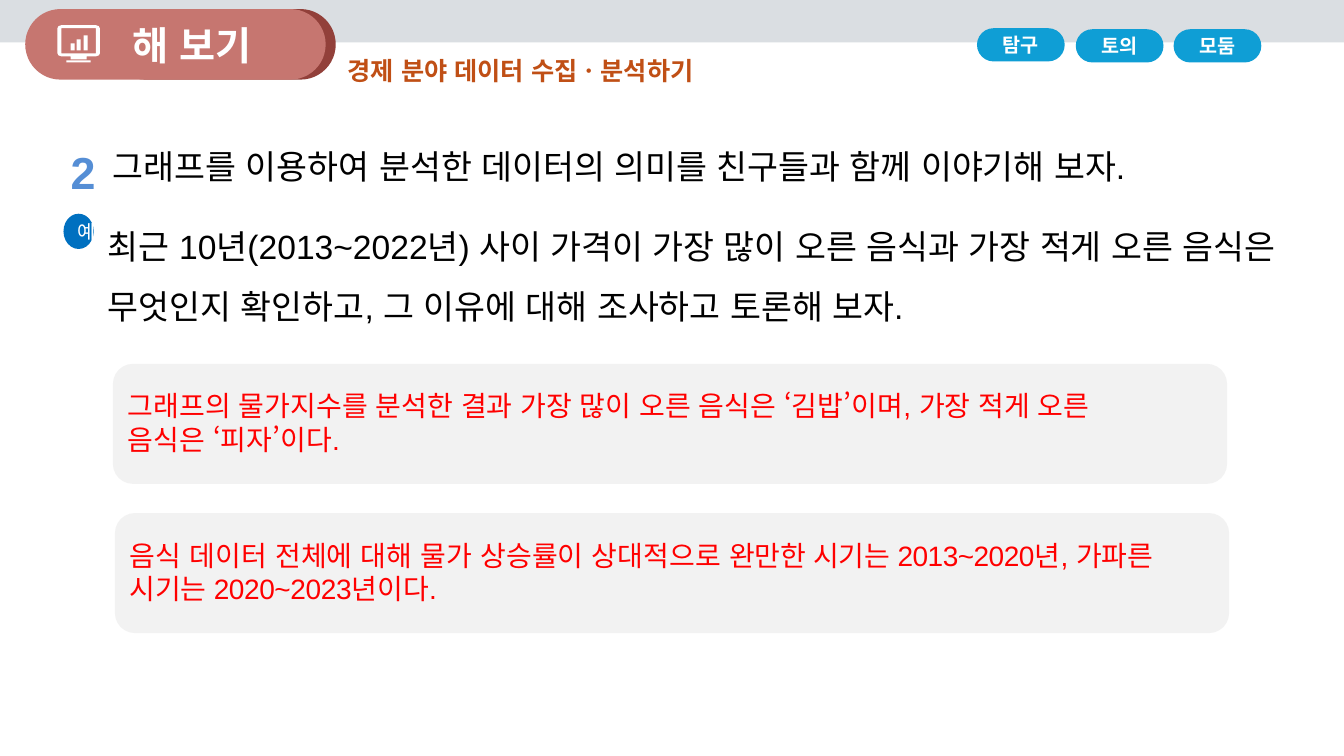
from pptx import Presentation
from pptx.dml.color import RGBColor
from pptx.enum.lang import MSO_LANGUAGE_ID
from pptx.enum.shapes import MSO_SHAPE
from pptx.enum.text import MSO_ANCHOR, MSO_AUTO_SIZE, PP_ALIGN
from pptx.util import Pt

EMU_PER_PX = 9144  # 100 px to the inch
WHITE = "FFFFFF"
RED = "FF0000"
DEFAULT_INSETS = (10, 5, 10, 5)
BODY_INSETS = (8, 4, 0, 4)


def px(length):
    return length * EMU_PER_PX


def paint(color_format, color):
    color_format.rgb = RGBColor.from_string(color)


def fill_plain(shape, color):
    shape.shadow.inherit = False
    shape.fill.solid()
    paint(shape.fill.fore_color, color)
    shape.line.fill.background()


def add_block(slide, box, color, kind=MSO_SHAPE.RECTANGLE, rounding=None):
    shape = slide.shapes.add_shape(kind, *map(px, box))
    fill_plain(shape, color)
    if rounding is not None:
        shape.adjustments[0] = rounding
    return shape


def write_text(text_frame, runs, size, color, bold=False, align=PP_ALIGN.LEFT,
               line_spacing=None, indent=0):
    """Write one paragraph from (text, letter spacing in points) pairs."""
    paragraph = text_frame.paragraphs[0]
    paragraph.alignment = align
    if line_spacing:
        paragraph.line_spacing = line_spacing
    if indent:
        paragraph._p.get_or_add_pPr().set("marL", str(px(indent)))
    for text, spacing in runs:
        run = paragraph.add_run()
        run.text = text
        run.font.name = "Arial"
        run.font.size = Pt(size)
        run.font.bold = bold
        run.font.language_id = MSO_LANGUAGE_ID.KOREAN
        paint(run.font.color, color)
        if spacing:
            run.font._element.set("spc", str(round(spacing * 100)))


def add_text(slide, box, runs, insets=DEFAULT_INSETS, **text_format):
    text_frame = slide.shapes.add_textbox(*map(px, box)).text_frame
    text_frame.word_wrap = True
    text_frame.auto_size = MSO_AUTO_SIZE.SHAPE_TO_FIT_TEXT
    (text_frame.margin_left, text_frame.margin_top,
     text_frame.margin_right, text_frame.margin_bottom) = map(px, insets)
    write_text(text_frame, runs, **text_format)


def add_label(slide, box, color, kind, text, rounding=None, **text_format):
    text_frame = add_block(slide, box, color, kind, rounding).text_frame
    text_frame.word_wrap = True
    text_frame.vertical_anchor = MSO_ANCHOR.MIDDLE
    write_text(text_frame, [(text, 0)], color=WHITE, align=PP_ALIGN.CENTER, **text_format)


def add_monitor_icon(slide):
    # Screen outline with its opening
    frame = [(99, 53), (99, 28), (98, 26), (95, 25), (61, 25), (58, 26), (57, 28),
             (57, 53), (58, 55), (61, 56), (70, 56), (70, 59), (86, 59), (86, 56),
             (95, 56), (98, 55)]
    opening = [(95, 53), (61, 53), (61, 28), (95, 28)]
    builder = slide.shapes.build_freeform(*frame[0], scale=EMU_PER_PX)
    builder.add_line_segments(frame[1:], close=True)
    builder.move_to(*opening[0])
    builder.add_line_segments(opening[1:], close=True)
    fill_plain(builder.convert_to_shape(), WHITE)

    # Foot and rising bars
    add_block(slide, (66, 60, 24, 2), WHITE)
    for left, height in ((70, 7), (76, 11), (83, 15)):
        add_block(slide, (left, 50 - height, 4, height), WHITE)


def add_header(slide):
    add_block(slide, (0, -2, 1333, 44), "DADEE2")
    for box, color in (((109, 9, 224, 70), "92403A"), ((25, 9, 298, 70), "C67670")):
        add_block(slide, box, color, MSO_SHAPE.ROUNDED_RECTANGLE, rounding=0.5)
    add_text(slide, (99, 16, 182, 57), [("해 보기", 0)], size=28, color=WHITE,
             bold=True, align=PP_ALIGN.CENTER)
    add_monitor_icon(slide)
    add_text(slide, (335, 50, 667, 40), [("경제 분야 데이터 수집ㆍ분석하기", 0)],
             size=18, color="C04F15", bold=True)
    for left, top, activity in ((969, 28, "탐구"), (1067, 29, "토의"), (1164, 29, "모둠")):
        add_label(slide, (left, top, 87, 33), "0F9ED5", MSO_SHAPE.ROUNDED_RECTANGLE,
                  activity, rounding=0.5, size=14, bold=True)


def add_question(slide):
    add_text(slide, (104, 141, 1113, 48),
             [("그래프를 이용하여 분석한 데이터의 의미를 친구들과 함께 이야기해 보자.", 0)],
             insets=BODY_INSETS, size=24, color="000000")
    add_text(slide, (70, 133, 42, 59), [("2", -1.5)], insets=(0, 0, 0, 0), size=32,
             color="558ED5", bold=True, line_spacing=1.2)
    add_text(slide, (99, 200, 1169, 123),
             [("최근 10년(2013~2022년) 사이 가격이 가장 많이 오른 음식과 가장 적게 오른 "
               "음식은 무엇인지 확인하고, 그 이유에 대해 조사하고 토론해 보자.", 0)],
             insets=BODY_INSETS, size=24, color="000000", line_spacing=1.5)
    add_label(slide, (63, 212, 30, 35), "0070C0", MSO_SHAPE.OVAL, "예", size=14)


def add_answer(slide, card_left, card_top, text_left, runs, **text_format):
    add_block(slide, (card_left, card_top, 1105, 119), "F2F2F2",
              MSO_SHAPE.ROUNDED_RECTANGLE)
    add_text(slide, (text_left, card_top + 20, 1047, 77), runs, size=20, color=RED,
             **text_format)


def main():
    presentation = Presentation()
    presentation.slide_width = px(1333)
    presentation.slide_height = px(750)
    slide = presentation.slides.add_slide(presentation.slide_layouts[6])

    add_header(slide)
    add_question(slide)

    # Sample answers
    add_answer(slide, 112, 361, 117,
               [("그래프의 물가지수를 분석한 결과 가장 많이 오른 음식은 ‘김밥’이며, "
                 "가장 적게 오른 음식은 ‘피자’이다.", 0)])
    add_answer(slide, 114, 509, 106,
               [("음식 데이터 전체에 대해 물가 상승률이 상대적으로 ", -0.1),
                ("완만한 시기는 2013~2020년, ", -0.4),
                ("가파른 시기는 2020~2023년", -0.3),
                ("이다.", 0)],
               align=PP_ALIGN.JUSTIFY, indent=13)

    presentation.save("out.pptx")


if __name__ == "__main__":
    main()
